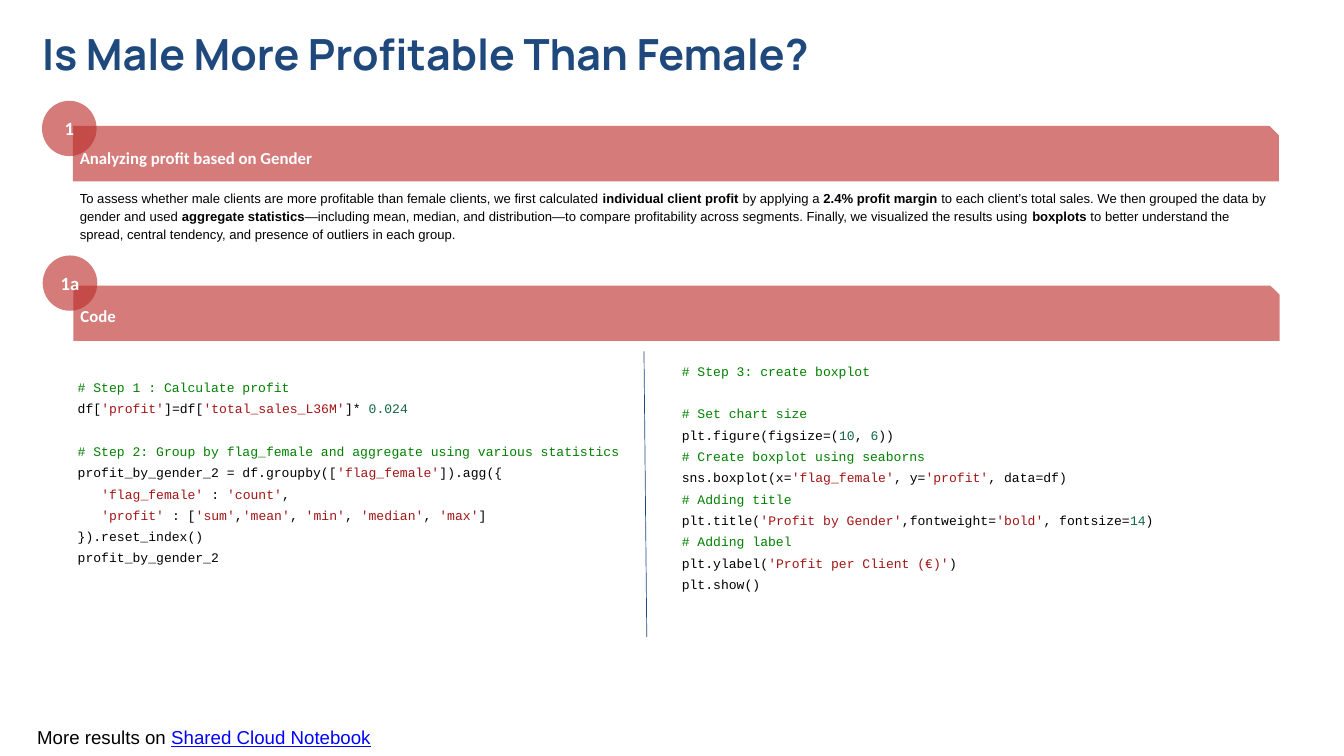
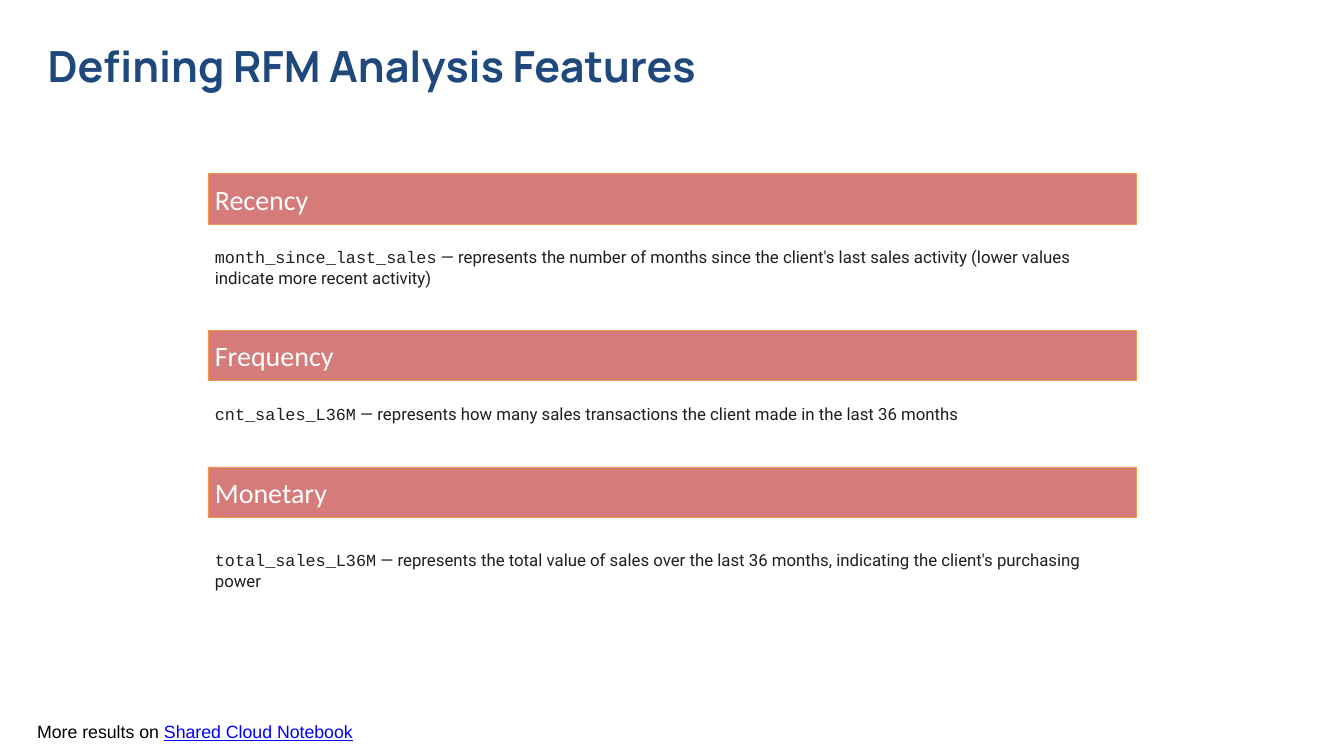
from dataclasses import dataclass
from itertools import groupby

from lxml import etree
from pptx import Presentation
from pptx.dml.color import RGBColor
from pptx.enum.shapes import MSO_CONNECTOR, MSO_SHAPE
from pptx.enum.text import MSO_ANCHOR, PP_ALIGN
from pptx.oxml.ns import qn
from pptx.util import Emu, Pt

EMU_PER_PX = 9525
SLIDE_WIDTH, SLIDE_HEIGHT = 1920, 1080
PADDING = 10
BLANK_LAYOUT = 6

RECTANGLE, SNIPPED, OVAL = MSO_SHAPE.RECTANGLE, MSO_SHAPE.SNIP_1_RECTANGLE, MSO_SHAPE.OVAL
STRAIGHT = MSO_CONNECTOR.STRAIGHT
TOP, MIDDLE = MSO_ANCHOR.TOP, MSO_ANCHOR.MIDDLE
LEFT, CENTER = PP_ALIGN.LEFT, PP_ALIGN.CENTER


@dataclass(frozen=True)
class Theme:
    navy: str = "1F497D"
    red: str = "BD2F2D"
    red_opacity: int = 63
    orange: str = "F79646"
    white: str = "FFFFFF"
    black: str = "000000"
    charcoal: str = "1F1F1F"
    link: str = "0000FF"
    comment: str = "008000"
    string: str = "A31515"
    number: str = "116644"
    title_font: str = "Manrope"
    heading_font: str = "Calibri"
    body_font: str = "Arial"
    code_font: str = "Courier New"
    definition_font: str = "Roboto"
    title_size: int = 46
    band_size: int = 30
    badge_size: int = 20
    heading_size: int = 18
    definition_size: int = 18
    body_size: int = 14
    code_gap: float = 22.7


THEME = Theme()

CALCULATION_CODE = """\
# Step 1 : Calculate profit
df['profit']=df['total_sales_L36M']* 0.024

# Step 2: Group by flag_female and aggregate using various statistics
profit_by_gender_2 = df.groupby(['flag_female']).agg({
   'flag_female' : 'count',
   'profit' : ['sum','mean', 'min', 'median', 'max']
}).reset_index()
profit_by_gender_2"""

BOXPLOT_CODE = """\
# Step 3: create boxplot

# Set chart size
plt.figure(figsize=(10, 6))
# Create boxplot using seaborns
sns.boxplot(x='flag_female', y='profit', data=df)
# Adding title
plt.title('Profit by Gender',fontweight='bold', fontsize=14)
# Adding label
plt.ylabel('Profit per Client (€)')
plt.show()"""

APPROACH = [
    ("To assess whether male clients are more profitable than female clients, "
     "we first calculated ", {}),
    ("individual client profit", {"bold": True}),
    (" by applying a ", {}),
    ("2.4% profit margin", {"bold": True}),
    (" to each client’s total sales. We then grouped the data by gender and used ", {}),
    ("aggregate statistics", {"bold": True}),
    ("—including mean, median, and distribution—to compare profitability across "
     "segments. Finally, we visualized the results using ", {}),
    ("boxplots", {"bold": True}),
    (" to better understand the spread, central tendency, and presence of outliers "
     "in each group.", {}),
]

# Feature, column, meaning, top of its band, offset and height of its definition
FEATURES = [
    ("Recency", "month_since_last_sales",
     "represents the number of months since the client's last sales activity "
     "(lower values indicate more recent activity)", 248, 95, 78),
    ("Frequency", "cnt_sales_L36M",
     "represents how many sales transactions the client made in the last 36 months",
     472, 95, 48),
    ("Monetary", "total_sales_L36M",
     "represents the total value of sales over the last 36 months, indicating "
     "the client's purchasing power", 667, 109, 78),
]


def px(*lengths):
    return [Emu(length * EMU_PER_PX) for length in lengths]


def color(value):
    return RGBColor.from_string(value)


def style_font(font, name, size, fill, bold=False, underline=False):
    font.name = name
    font.size = Pt(size)
    font.color.rgb = color(fill)
    font.bold = bold
    font.underline = underline


def write_text(shape, paragraphs, padding=PADDING, anchor=TOP, align=LEFT,
               spacing=1.0, gaps=(), **font):
    """Fill a shape with paragraphs, each a string or a list of (text, font changes).

    gaps maps a paragraph's index to the points of space before it.
    """
    frame = shape.text_frame
    frame.word_wrap = True
    frame.vertical_anchor = anchor
    frame.margin_left, frame.margin_top, frame.margin_right, frame.margin_bottom = px(
        *[padding] * 4)
    for index, content in enumerate(paragraphs):
        paragraph = frame.add_paragraph() if index else frame.paragraphs[0]
        paragraph.alignment = align
        paragraph.line_spacing = spacing
        if index in gaps:
            paragraph.space_before = Pt(gaps[index])
        runs = [(content, {})] if isinstance(content, str) else content
        for text, changes in runs:
            run = paragraph.add_run()
            run.text = text
            style_font(run.font, **{**font, **changes})


def add_text(slide, box, paragraphs, **text_format):
    write_text(slide.shapes.add_textbox(*px(*box)), paragraphs, **text_format)


def add_red_shape(slide, kind, box, text, outline=None, **text_format):
    """Add a translucent red shape with white text centred vertically."""
    shape = slide.shapes.add_shape(kind, *px(*box))
    shape.shadow.inherit = False
    shape.fill.solid()
    shape.fill.fore_color.rgb = color(THEME.red)
    fill_color = shape.fill._xPr.find(qn("a:solidFill"))[0]
    etree.SubElement(fill_color, qn("a:alpha"), val=str(THEME.red_opacity * 1000))
    if outline:
        shape.line.color.rgb = color(outline)
        shape.line.width = Pt(0.75)
    else:
        shape.line.fill.background()
    write_text(shape, [text], anchor=MIDDLE, name=THEME.heading_font,
               fill=THEME.white, **text_format)
    return shape


def add_title(slide, left, top, text):
    add_text(slide, (left, top, 1800, 72), [text], padding=0, spacing=0.97,
             name=THEME.title_font, size=THEME.title_size, fill=THEME.navy, bold=True)


def add_footer(slide, top, size):
    runs = [("More results on ", {}),
            ("Shared Cloud Notebook", {"fill": THEME.link, "underline": True})]
    add_text(slide, (43, top, 727, 52), [runs],
             name=THEME.body_font, size=size, fill=THEME.black)


def add_section_header(slide, left, top, number, heading, drop, spacing=1.0):
    """Add a bar whose top lies `drop` below that of its overlapping round badge."""
    bar = add_red_shape(slide, SNIPPED, (left + 44, top + drop, 1723, 79), heading,
                        spacing=spacing, size=THEME.heading_size, bold=True)
    bar.adjustments[0] = 0.167
    add_red_shape(slide, OVAL, (left, top, 78, 79), number,
                  align=CENTER, size=THEME.badge_size, bold=True)


def token_color(token):
    return THEME.number if token[0].isdigit() else THEME.black


def code_runs(line):
    """Split a line of code into runs coloured as comment, string, number or plain."""
    if line.startswith("#"):
        return [(line, {"fill": THEME.comment})]
    pieces = []
    for index, part in enumerate(line.split("'")):
        if index % 2:
            pieces.append((f"'{part}'", THEME.string))
            continue
        for _, characters in groupby(part, lambda c: c.isalnum() or c in "_."):
            token = "".join(characters)
            pieces.append((token, token_color(token)))
    return [("".join(text for text, _ in group), {"fill": fill})
            for fill, group in groupby(pieces, lambda piece: piece[1])]


def add_code(slide, box, code, padding=PADDING):
    """Add highlighted code, turning its empty lines into space before a paragraph."""
    paragraphs, gaps = [], {}
    for line in code.splitlines():
        if line:
            paragraphs.append(code_runs(line))
        else:
            gaps[len(paragraphs)] = THEME.code_gap
    add_text(slide, box, paragraphs, padding=padding, spacing=1.36, gaps=gaps,
             name=THEME.code_font, size=THEME.body_size, fill=THEME.black)


def add_divider(slide, start, end):
    divider = slide.shapes.add_connector(STRAIGHT, *px(*start, *end))
    divider.line.color.rgb = color(THEME.navy)
    divider.line.width = Pt(0.75)
    etree.SubElement(divider._element.spPr, qn("a:effectLst"))


def add_feature(slide, box, feature, column, meaning, offset):
    """Add a band with the feature's name and, `offset` below its top, the definition."""
    left, top, width, height = box
    add_red_shape(slide, RECTANGLE, (left, top, width, 72), feature,
                  outline=THEME.orange, size=THEME.band_size)
    runs = [(column, {"name": THEME.code_font}), (f" — {meaning}", {})]
    add_text(slide, (left, top + offset, width, height - offset), [runs],
             name=THEME.definition_font, size=THEME.definition_size, fill=THEME.charcoal)


def build_gender_slide(slide):
    add_title(slide, 60, 44, "Is Male More Profitable Than Female?")
    add_section_header(slide, 60, 144, "1", "Analyzing profit based on Gender",
                       drop=36, spacing=1.15)
    add_text(slide, (104, 258, 1723, 94), [APPROACH], spacing=1.15,
             name=THEME.body_font, size=THEME.body_size, fill=THEME.black)
    add_section_header(slide, 61, 365, "1a", "Code", drop=43)
    add_code(slide, (111, 534, 845, 299), CALCULATION_CODE, padding=0)
    add_divider(slide, (920, 502), (924, 910))
    add_code(slide, (964, 501, 786, 380), BOXPLOT_CODE)
    add_footer(slide, 1027, size=20)


def build_features_slide(slide):
    add_title(slide, 68, 60, "Defining RFM Analysis Features")
    for feature, column, meaning, top, offset, height in FEATURES:
        add_feature(slide, (297, top, 1326, offset + height),
                    feature, column, meaning, offset)
    add_footer(slide, 1020, size=19)


def main():
    presentation = Presentation()
    presentation.slide_width, presentation.slide_height = px(SLIDE_WIDTH, SLIDE_HEIGHT)
    layout = presentation.slide_layouts[BLANK_LAYOUT]
    for build in (build_gender_slide, build_features_slide):
        build(presentation.slides.add_slide(layout))
    presentation.save("out.pptx")


if __name__ == "__main__":
    main()
